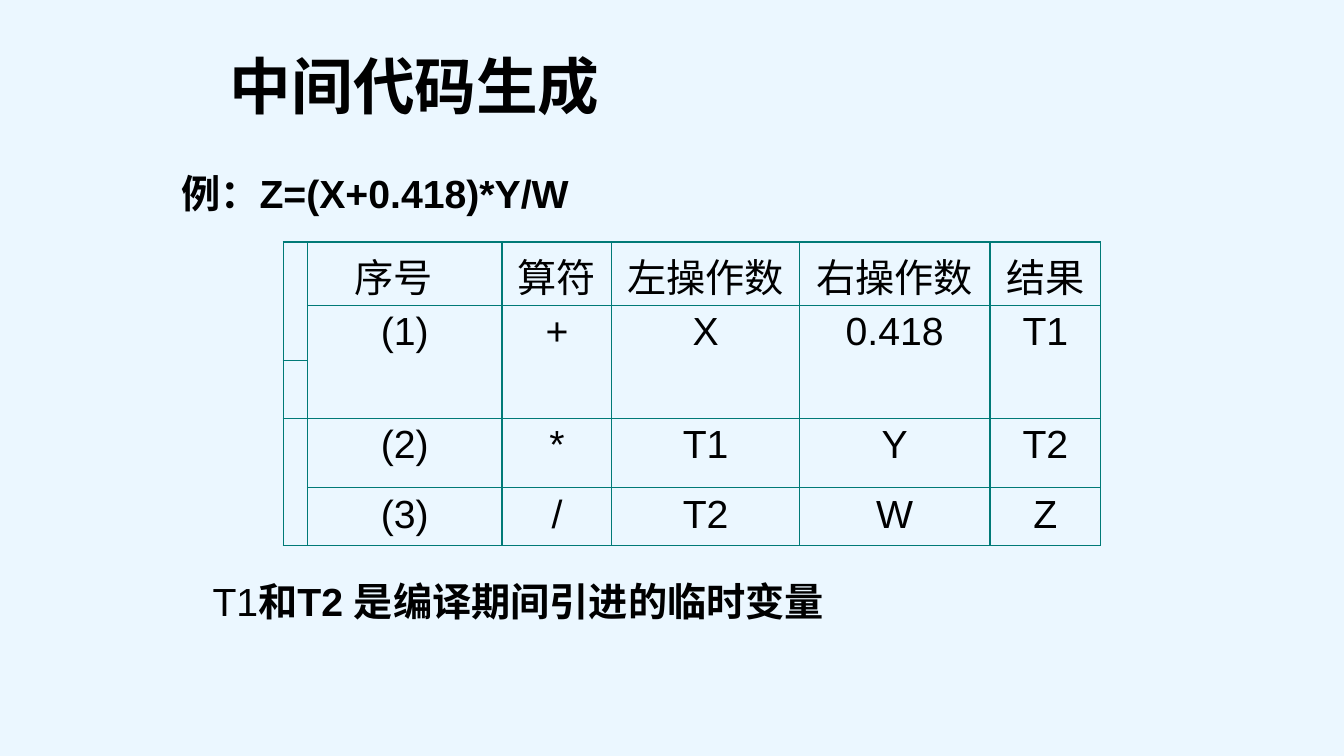
"""Builds the slide on intermediate code generation with its quadruple table."""
from lxml import etree
from pptx import Presentation
from pptx.dml.color import RGBColor
from pptx.enum.text import MSO_ANCHOR, MSO_AUTO_SIZE, PP_ALIGN
from pptx.oxml.ns import qn
from pptx.util import Inches, Pt

LEFT, CENTER = PP_ALIGN.LEFT, PP_ALIGN.CENTER
TOP, MIDDLE = MSO_ANCHOR.TOP, MSO_ANCHOR.MIDDLE
NO_FIT = MSO_AUTO_SIZE.NONE
BLACK = RGBColor(0x00, 0x00, 0x00)
TEAL = RGBColor(0x00, 0x7A, 0x77)
PALE_BLUE = RGBColor(0xEB, 0xF7, 0xFF)

COLUMN_WIDTHS = [0.23, 1.93, 1.09, 1.86, 1.89, 1.1]
ROW_HEIGHTS = [0.63, 0.55, 0.57, 0.69, 0.57]
QUADRUPLES = {
    0: ["序号\t", "算符", "左操作数", "右操作数", "结果"],
    1: ["(1)", "+", "X", "0.418", "T1"],
    3: ["(2)", "*", "T1", "Y", "T2"],
    4: ["(3)", "/", "T2", "W", "Z"],
}
MERGE_STARTS = [(0, 0), (3, 0)] + [(1, column) for column in range(1, 6)]


class SlideBuilder:
    """Holds the text style and the current slide."""

    style = {"name": "Arial", "size": Pt(28), "bold": False}

    def __init__(self, deck):
        self.slide = deck.slides.add_slide(deck.slide_layouts[5])
        fill = self.slide.background.fill
        fill.solid()
        fill.fore_color.rgb = PALE_BLUE

    def add_spans(self, frame, spans, align=LEFT):
        """Fills the first paragraph with (text, format) spans."""
        para = frame.paragraphs[0]
        para.alignment = align
        for text, changes in spans:
            span = para.add_run()
            span.text = text
            for key, value in {**self.style, **changes}.items():
                setattr(span.font, key, value)
            span.font.color.rgb = BLACK

    def title(self, text, left, top, width, height):
        """Places and formats the title placeholder."""
        box = self.slide.shapes.title
        place = {"left": left, "top": top, "width": width, "height": height}
        for key, value in place.items():
            setattr(box, key, Inches(value))
        frame = box.text_frame
        frame.auto_size = NO_FIT
        frame.vertical_anchor = MIDDLE
        self.add_spans(frame, [(text, {"size": Pt(44), "bold": True})])

    def text(self, spans, *place):
        """Adds a wrapped text box."""
        box = self.slide.shapes.add_textbox(*map(Inches, place))
        box.text_frame.word_wrap = True
        self.add_spans(box.text_frame, spans)

    def border(self, cell):
        """Draws the four edges of a table cell."""
        properties = cell._tc.get_or_add_tcPr()
        for position, edge in enumerate(("lnL", "lnR", "lnT", "lnB")):
            line = etree.Element(qn(f"a:{edge}"), w=str(Pt(1)))
            fill = etree.SubElement(line, qn("a:solidFill"))
            etree.SubElement(fill, qn("a:srgbClr"), val=str(TEAL))
            properties.insert(position, line)

    def table(self, rows, widths, heights, merge_starts, left, top):
        """Adds a bordered table whose text begins in the second column."""
        size = (left, top, sum(widths), sum(heights))
        frame = self.slide.shapes.add_table(
            len(heights), len(widths), *map(Inches, size))
        table = frame.table
        table.first_row = table.horz_banding = False
        for column, width in zip(table.columns, widths):
            column.width = Inches(width)
        for row, height in zip(table.rows, heights):
            row.height = Inches(height)
        for cell in table.iter_cells():
            cell.fill.background()
            cell.vertical_anchor = TOP
            self.border(cell)
        for row, column in merge_starts:
            table.cell(row, column).merge(table.cell(row + 1, column))
        for row, texts in rows.items():
            for column, text in enumerate(texts, 1):
                self.add_spans(table.cell(row, column).text_frame,
                               [(text, {})], CENTER)


def main():
    """Builds and saves the deck."""
    deck = Presentation()
    deck.slide_width, deck.slide_height = Inches(13.33), Inches(7.5)
    page = SlideBuilder(deck)
    page.title("中间代码生成", 2.18, 0.33, 9, 1.02)
    page.text([("例：Z=(X+0.418)*Y/W", {"bold": True})], 1.7, 1.63, 4.8, 0.68)
    page.table(QUADRUPLES, COLUMN_WIDTHS, ROW_HEIGHTS, MERGE_STARTS, 2.81, 2.4)
    page.text([("T1", {}), ("和T2 是编译期间引进的临时变量", {"bold": True})],
              2.01, 5.68, 9.19, 0.68)
    deck.save("out.pptx")


if __name__ == "__main__":
    main()
